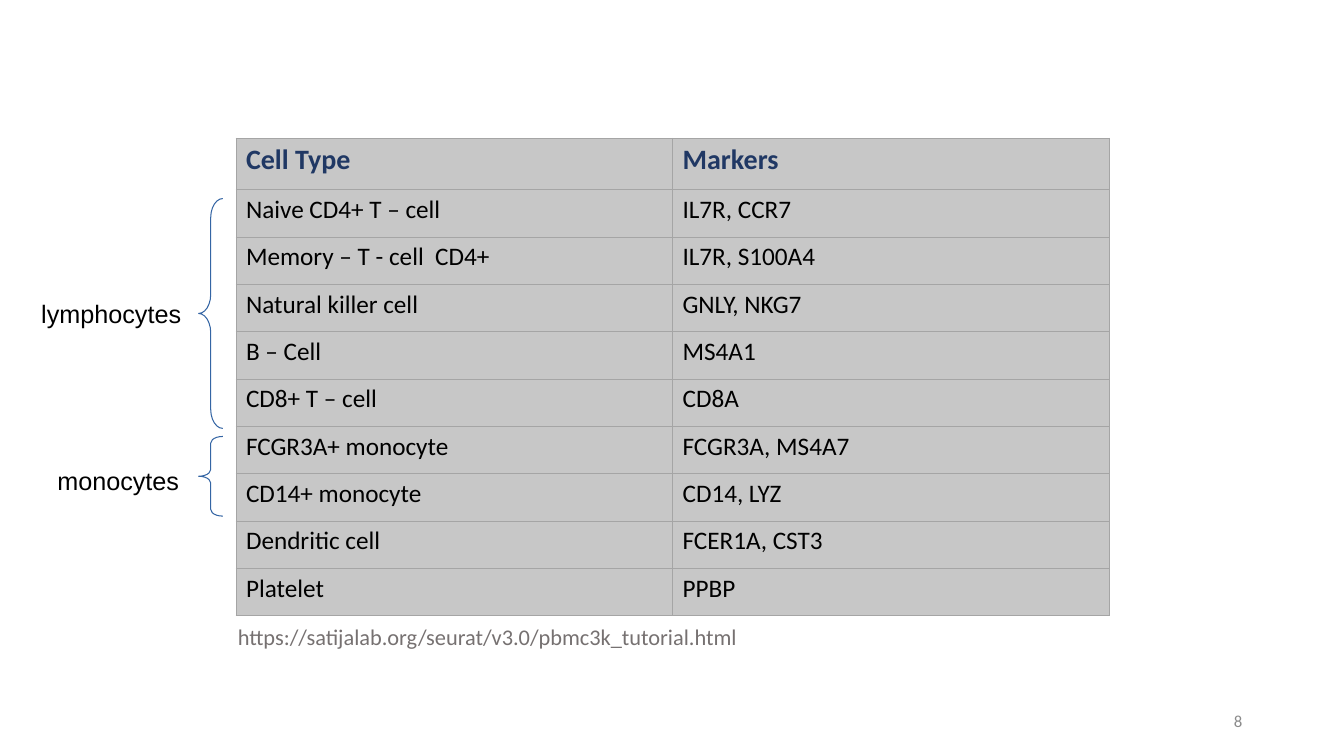
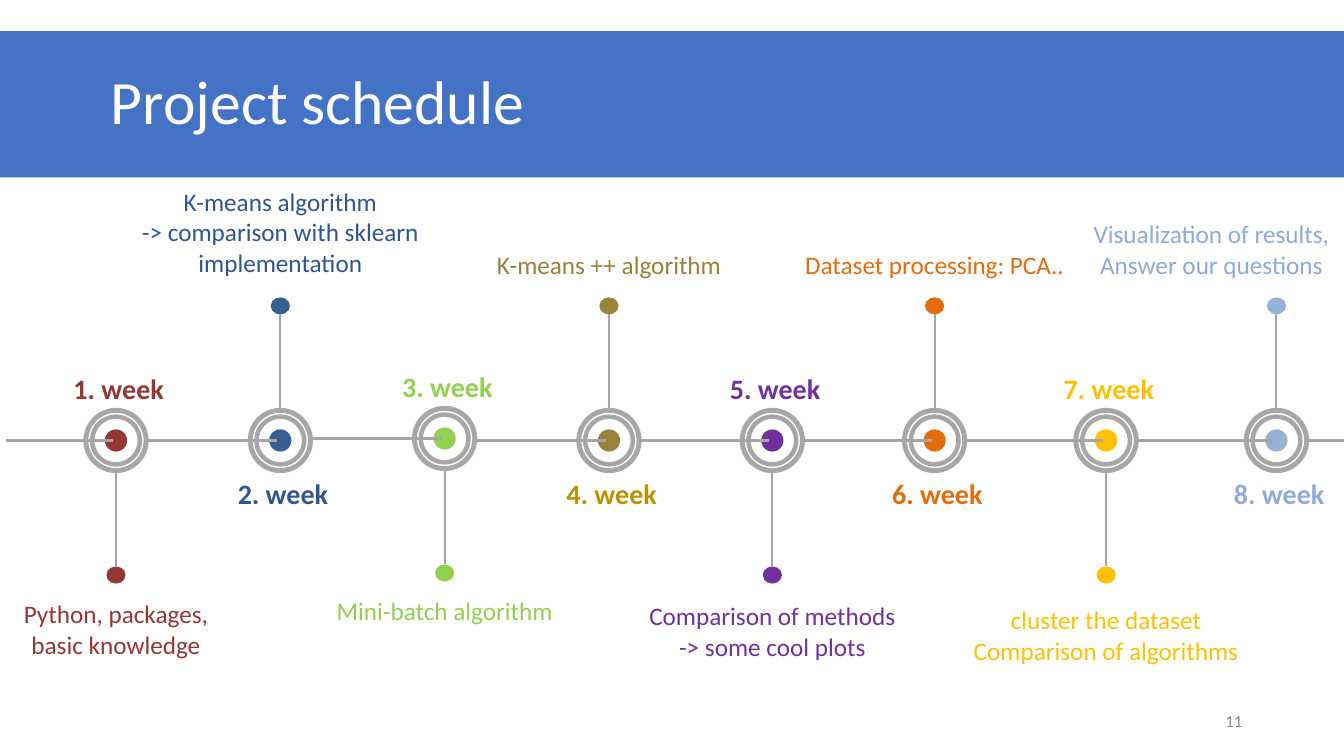
from lxml.etree import SubElement
from pptx import Presentation
from pptx.dml.color import RGBColor
from pptx.enum.shapes import MSO_CONNECTOR as Connector
from pptx.enum.shapes import MSO_SHAPE as Shape
from pptx.enum.text import MSO_ANCHOR as Anchor
from pptx.enum.text import PP_ALIGN as Align
from pptx.oxml.ns import qn
from pptx.util import Inches, Pt

SLIDE_WIDTH, SLIDE_HEIGHT = 13.33, 7.5
FONT = "Calibri"
BLACK, WHITE, GRAY = "000000", "FFFFFF", "A6A6A6"
BAND, NUMBER = "4472C4", "8B8B8B"
color = RGBColor.from_string


def write(frame, lines, size, ink, bold=False, font=FONT, align=Align.LEFT):
    for index, line in enumerate(lines):
        para = frame.add_paragraph() if index else frame.paragraphs[0]
        para.alignment = align
        span = para.add_run()
        span.text = line
        span.font.name = font
        span.font.size = Pt(size)
        span.font.bold = bold
        span.font.color.rgb = color(ink)


def add_text(page, place, lines, size, ink, anchor=Anchor.TOP, **style):
    box = page.shapes.add_textbox(*map(Inches, place))
    box.text_frame.word_wrap = True
    box.text_frame.vertical_anchor = anchor
    write(box.text_frame, lines, size, ink, **style)


deck = Presentation()
deck.slide_width, deck.slide_height = Inches(SLIDE_WIDTH), Inches(SLIDE_HEIGHT)
TITLE_ONLY, BLANK = deck.slide_layouts[5], deck.slide_layouts[6]
marker_page = deck.slides.add_slide(BLANK)
schedule_page = deck.slides.add_slide(TITLE_ONLY)

for page, number in ((marker_page, "8"), (schedule_page, "11")):
    add_text(page, (9.42, 6.95, 3, 0.4), [number], 12, NUMBER, Anchor.MIDDLE, align=Align.RIGHT)

marker_rows = [
    ("Cell Type", "Markers"),
    ("Naive CD4+ T – cell", "IL7R, CCR7"),
    ("Memory – T - cell  CD4+", "IL7R, S100A4"),
    ("Natural killer cell", "GNLY, NKG7"),
    ("B – Cell", "MS4A1"),
    ("CD8+ T – cell", "CD8A"),
    ("FCGR3A+ monocyte", "FCGR3A, MS4A7"),
    ("CD14+ monocyte", "CD14, LYZ"),
    ("Dendritic cell", "FCER1A, CST3"),
    ("Platelet", "PPBP"),
]
table_place = map(Inches, (2.34, 1.37, 8.66, 4.75))
table = marker_page.shapes.add_table(len(marker_rows), 2, *table_place).table
table.first_row = table.horz_banding = False
for row_index, texts in enumerate(marker_rows):
    header = row_index == 0
    table.rows[row_index].height = Inches(0.51 if header else 0.47)
    for column_index, text in enumerate(texts):
        cell = table.cell(row_index, column_index)
        if header:
            write(cell.text_frame, [text], 20, "203864", bold=True)
        else:
            write(cell.text_frame, [text], 18, BLACK)
        properties = cell._tc.get_or_add_tcPr()
        for side in ("a:lnL", "a:lnR", "a:lnT", "a:lnB"):
            border = SubElement(properties, qn(side), w=str(Pt(0.5)))
            border_fill = SubElement(border, qn("a:solidFill"))
            SubElement(border_fill, qn("a:srgbClr"), val="A5A5A5")
        cell.fill.solid()
        cell.fill.fore_color.rgb = color("C7C7C7")

source = "https://satijalab.org/seurat/v3.0/pbmc3k_tutorial.html"
add_text(marker_page, (2.26, 6.13, 8.65, 0.36), [source], 16, "767171")

BRACE_WIDTH = 0.24
cell_groups = [
    ("lymphocytes", (0.31, 2.91, 1.81, 0.66), 1.97, 2.28),
    ("monocytes", (0.47, 4.57, 1.42, 0.38), 4.33, 0.79),
]
for name, label_place, top, height in cell_groups:
    brace = marker_page.shapes.add_shape(
        Shape.LEFT_BRACE, Inches(1.97), Inches(top), Inches(BRACE_WIDTH), Inches(height))
    brace.adjustments[0] = height / 12 / BRACE_WIDTH
    brace.shadow.inherit = False
    brace.fill.background()
    brace.line.color.rgb = color("3465A4")
    brace.line.width = Pt(0.75)
    add_text(marker_page, label_place, [name], 18, BLACK, font="Arial")

title = schedule_page.shapes.title
title.left, title.top = Inches(0), Inches(0.31)
title.width, title.height = Inches(SLIDE_WIDTH), Inches(1.45)
title.fill.solid()
title.fill.fore_color.rgb = color(BAND)
title.text_frame.margin_left = Inches(1.1)
title.text_frame.vertical_anchor = Anchor.MIDDLE
write(title.text_frame, ["Project schedule"], 44, WHITE)
title.text_frame.paragraphs[0].line_spacing = 0.9

AXIS, OUTER, INNER, CORE = 4.37, 0.62, 0.49, 0.22
DOT_WIDTH, DOT_HEIGHT, STEM = 0.19, 0.17, 0.94
weeks = [
    (1.15, 0, "953735", "953735", "953735", "953735", 5.89, 2.11,
     ["Python, packages, basic knowledge"]),
    (2.78, 0, "376092", "376092", "2F5597", "2F5597", 1.8, 3.01,
     ["K-means algorithm", "-> comparison with sklearn implementation"]),
    (4.41, 0.02, "92D050", "FAC090", "92D050", "92D050", 5.86, 2.61,
     ["Mini-batch algorithm"]),
    (6.04, 0, "99823A", "604A7B", "BF9000", "99823A", 2.42, 3.01,
     ["K-means ++ algorithm"]),
    (7.66, 0, "7030A0", "7030A0", "7030A0", "7030A0", 5.91, 2.68,
     ["Comparison of methods -> some cool plots"]),
    (9.27, 0, "E46C0A", "E46C0A", "E46C0A", "E46C0A", 2.42, 3.01,
     ["Dataset processing: PCA.."]),
    (10.97, 0, "FFC000", "FFC000", "FFC000", "FFC000", 5.95, 2.86,
     ["cluster the dataset", "Comparison of algorithms"]),
    (12.66, 0, "95B3D7", "4F81BD", "8FAADC", "8FAADC", 2.12, 2.63,
     ["Visualization of results,", "Answer our questions"]),
]
lines = []
axis_start = 0.06
for index, week in enumerate(weeks):
    center, rise, core_fill, ring_fill, week_ink, caption_ink, top, width, caption = week
    middle = AXIS - rise
    direction = -1 if index % 2 else 1
    stem_start = middle + direction * OUTER / 2
    stem_end = stem_start + direction * STEM
    dot_middle = stem_end + direction * DOT_HEIGHT / 2
    lines += [(axis_start, middle, center - 0.03, middle), (center, stem_start, center, stem_end)]
    axis_start = center + OUTER / 2

    marks = [
        (Shape.OVAL, middle, CORE, CORE, core_fill),
        (Shape.DONUT, middle, INNER, INNER, ring_fill),
        (Shape.DONUT, middle, OUTER, OUTER, GRAY),
        (Shape.OVAL, dot_middle, DOT_WIDTH, DOT_HEIGHT, core_fill),
    ]
    for kind, mark_middle, mark_width, mark_height, fill in marks:
        mark = schedule_page.shapes.add_shape(
            kind, Inches(center - mark_width / 2), Inches(mark_middle - mark_height / 2),
            Inches(mark_width), Inches(mark_height))
        mark.shadow.inherit = False
        mark.fill.solid()
        mark.fill.fore_color.rgb = color(fill)
        if kind == Shape.OVAL:
            mark.line.fill.background()
        else:
            mark.adjustments[0] = 0.035
            mark.line.color.rgb = color(GRAY)
            mark.line.width = Pt(2)
            line_color = mark._element.spPr.xpath("a:ln/a:solidFill/a:srgbClr")[0]
            SubElement(line_color, qn("a:alpha"), val="95000")

    label_top = (3.64 if direction > 0 else 4.68) - rise
    add_text(schedule_page, (center - 0.52, label_top, 1.18, 0.43), [f"{index + 1}. week"],
             20, week_ink, bold=True)
    caption_left = min(center - width / 2, SLIDE_WIDTH - width)
    add_text(schedule_page, (caption_left, top, width, 0.4), caption, 18, caption_ink,
             align=Align.CENTER)

lines.append((axis_start, AXIS, SLIDE_WIDTH, AXIS))
for ends in lines:
    line = schedule_page.shapes.add_connector(Connector.STRAIGHT, *map(Inches, ends))
    line.line.color.rgb = color(GRAY)
    line.line.width = Pt(1.5)
    SubElement(line._element.spPr, qn("a:effectLst"))

deck.save("out.pptx")
